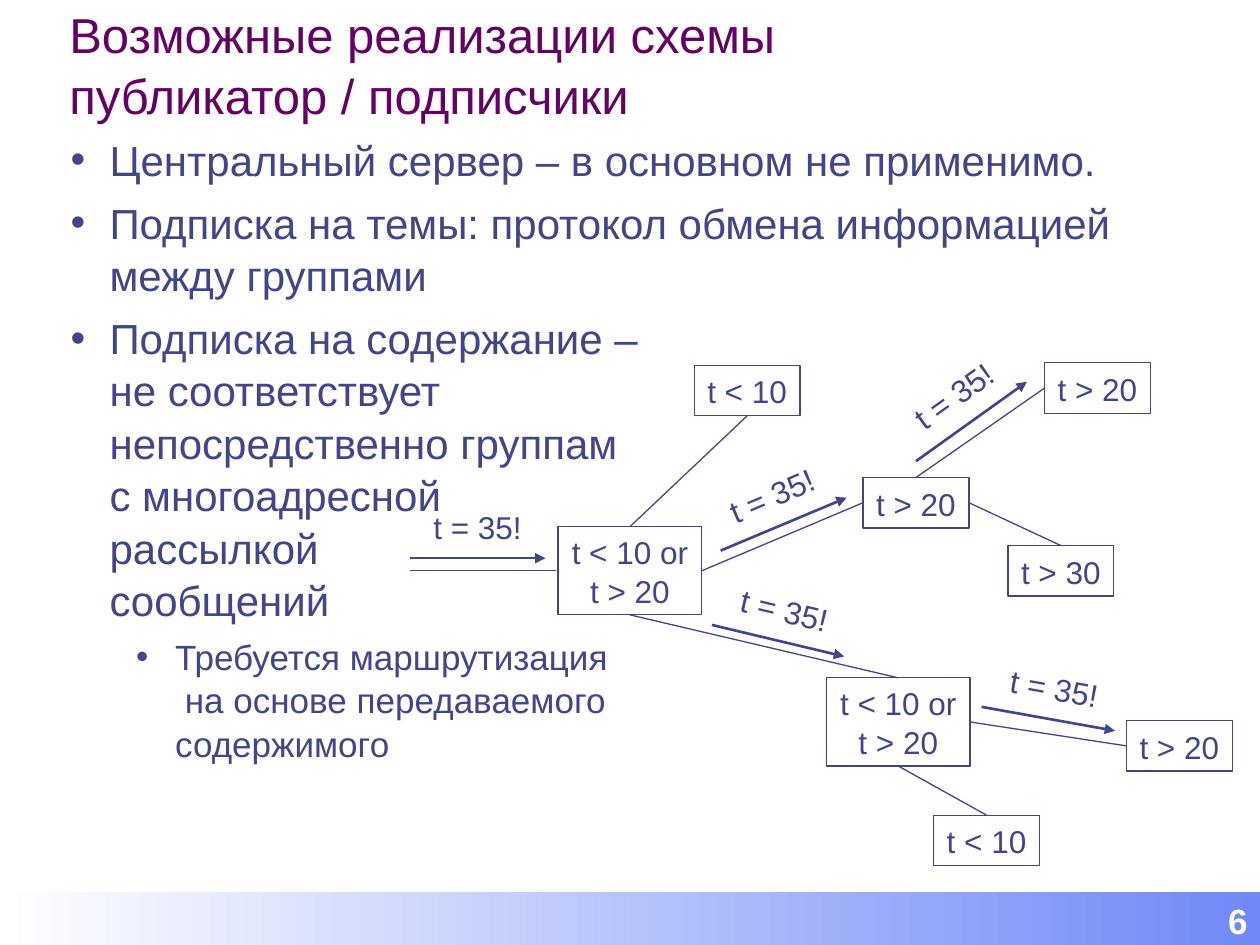
import pptx
import pptx.dml.color
import pptx.enum.shapes
import pptx.enum.text
import pptx.oxml.ns
import pptx.util
from lxml import etree
from pptx.util import Inches

RGBColor = pptx.dml.color.RGBColor
ALIGN = pptx.enum.text.PP_ALIGN
ANCHOR = pptx.enum.text.MSO_ANCHOR
SHAPE = pptx.enum.shapes.MSO_SHAPE
qn = pptx.oxml.ns.qn

PLUM = RGBColor(0x66, 0x00, 0x66)
INDIGO = RGBColor(0x40, 0x45, 0x8C)
SKY = RGBColor(0x6F, 0x89, 0xF7)
WHITE = RGBColor(0xFF, 0xFF, 0xFF)
FONT = "Arial"
LINE_SPACING = 1.04

TITLE = "Возможные реализации схемы \nпубликатор / подписчики"
# text, level
BULLETS = [
    ("Центральный сервер – в основном не применимо.", 0),
    ("Подписка на темы: протокол обмена информацией между группами", 0),
    ("Подписка на содержание – \nне соответствует \nнепосредственно группам \n"
     "с многоадресной \nрассылкой \nсообщений", 0),
    ("Требуется маршрутизация\n на основе передаваемого \nсодержимого", 1),
]
# size, space before, left margin for each level
LEVELS = [(24, 6, 0.31), (20, 5, 0.83)]
HANGING = 0.31

SMALL, LARGE = (0.84, 0.4), (1.14, 0.7)
# name: text, left, top, size
NODES = {
    "root": ("t < 10 or\nt > 20", 4.43, 4.18, LARGE),
    "top left": ("t < 10", 5.51, 2.9, SMALL),
    "upper": ("t > 20", 6.85, 3.79, SMALL),
    "top right": ("t > 20", 8.29, 2.88, SMALL),
    "middle right": ("t > 30", 8, 4.33, SMALL),
    "lower": ("t < 10 or\nt > 20", 6.56, 5.38, LARGE),
    "low right": ("t > 20", 8.94, 5.72, SMALL),
    "bottom": ("t < 10", 7.41, 6.47, SMALL),
}
TOP, LEFT, BOTTOM, RIGHT = range(4)
LINKS = [
    ("root", TOP, "top left", BOTTOM),
    ("root", RIGHT, "upper", LEFT),
    ("root", BOTTOM, "lower", TOP),
    ("upper", TOP, "top right", LEFT),
    ("upper", RIGHT, "middle right", TOP),
    ("lower", RIGHT, "low right", LEFT),
    ("lower", BOTTOM, "bottom", TOP),
]
INLET = (3.25, 4.53, 4.41, 4.53)
MESSAGE = "t = 35!"
# label left, top, rotation, then the arrow's start and end
MESSAGES = [
    (3.34, 3.97, 0, (3.25, 4.43, 4.33, 4.43)),
    (5.78, 4.63, 13.4, (5.65, 4.96, 6.7, 5.21)),
    (5.67, 3.72, 337, (5.72, 4.37, 6.72, 3.95)),
    (7.92, 5.25, 10.1, (7.79, 5.61, 8.85, 5.8)),
    (7.11, 2.93, 324.4, (7.27, 3.66, 8.15, 3.03)),
]


def write(para, text, size, color, align, bold=False):
    """Fill a paragraph, turning each newline into a line break."""
    para.alignment = align
    para.line_spacing = LINE_SPACING
    for index, line in enumerate(text.split("\n")):
        if index:
            para.add_line_break()
        span = para.add_run()
        span.text = line
        span.font.name = FONT
        span.font.size = pptx.util.Pt(size)
        span.font.bold = bold
        span.font.color.rgb = color


def place(shape, left, top, width, height):
    shape.left, shape.top = Inches(left), Inches(top)
    shape.width, shape.height = Inches(width), Inches(height)


def add_bullet(para, level):
    margin = LEVELS[level][2]
    properties = para._p.get_or_add_pPr()
    properties.set("marL", str(Inches(margin)))
    properties.set("indent", str(-Inches(HANGING)))
    color = etree.SubElement(properties, qn("a:buClr"))
    etree.SubElement(color, qn("a:srgbClr"), val=str(INDIGO))
    etree.SubElement(properties, qn("a:buFont"), typeface=FONT)
    etree.SubElement(properties, qn("a:buChar"), char="•")


def add_line(slide, ends=(0, 0, 0, 0), width=0.75, arrow=False):
    line = slide.shapes.add_connector(
        pptx.enum.shapes.MSO_CONNECTOR.STRAIGHT, *map(Inches, ends))
    line.line.color.rgb = INDIGO
    line.line.width = pptx.util.Pt(width)
    if arrow:
        etree.SubElement(line.line._get_or_add_ln(), qn("a:tailEnd"), type="triangle")
    etree.SubElement(line._element.spPr, qn("a:effectLst"))
    return line


def add_box(slide, left, top, width, height):
    box = slide.shapes.add_shape(
        SHAPE.RECTANGLE, *map(Inches, (left, top, width, height)))
    box.shadow.inherit = False
    box.text_frame.vertical_anchor = ANCHOR.MIDDLE
    return box


def add_node(slide, text, left, top, size):
    box = add_box(slide, left, top, *size)
    box.fill.background()
    box.line.color.rgb = INDIGO
    box.line.width = pptx.util.Pt(0.75)
    box.text_frame.word_wrap = False
    write(box.text_frame.paragraphs[0], text, 18, INDIGO, ALIGN.CENTER)
    return box


def add_text(slide):
    title, body = slide.placeholders
    place(title, 0.45, 0.16, 9.33, 0.88)
    place(body, 0.46, 1, 9.28, 5.68)
    for holder, anchor in ((title, ANCHOR.BOTTOM), (body, ANCHOR.TOP)):
        holder.text_frame.auto_size = pptx.enum.text.MSO_AUTO_SIZE.NONE
        holder.text_frame.vertical_anchor = anchor
    write(title.text_frame.paragraphs[0], TITLE, 28, PLUM, ALIGN.LEFT)
    for index, (text, level) in enumerate(BULLETS):
        para = body.text_frame.add_paragraph() if index else body.text_frame.paragraphs[0]
        size, space, _ = LEVELS[level]
        para.level = level
        add_bullet(para, level)
        para.space_before = pptx.util.Pt(space if index else 0)
        write(para, text, size, INDIGO, ALIGN.LEFT)


def add_routing(slide):
    nodes = {name: add_node(slide, *node) for name, node in NODES.items()}
    for start, start_side, end, end_side in LINKS:
        link = add_line(slide)
        link.begin_connect(nodes[start], start_side)
        link.end_connect(nodes[end], end_side)
    add_line(slide, INLET)
    for left, top, rotation, ends in MESSAGES:
        label = slide.shapes.add_textbox(*map(Inches, (left, top, 0.9, 0.4)))
        label.rotation = rotation
        label.text_frame.word_wrap = False
        write(label.text_frame.paragraphs[0], MESSAGE, 18, INDIGO, ALIGN.CENTER)
        add_line(slide, ends, 1.5, arrow=True)


def add_footer(slide):
    bar = add_box(slide, 0, 7.08, 10, 0.44)
    bar.line.fill.background()
    bar.fill.gradient()
    bar.fill.gradient_angle = 0
    for stop, color in zip(bar.fill.gradient_stops, (WHITE, SKY)):
        stop.color.rgb = color
    write(bar.text_frame.paragraphs[0], "6", 20, WHITE, ALIGN.RIGHT, bold=True)


def main():
    deck = pptx.Presentation()
    deck.slide_width, deck.slide_height = Inches(10), Inches(7.5)
    slide = deck.slides.add_slide(deck.slide_layouts[1])
    add_text(slide)
    add_routing(slide)
    add_footer(slide)
    deck.save("out.pptx")


if __name__ == "__main__":
    main()
